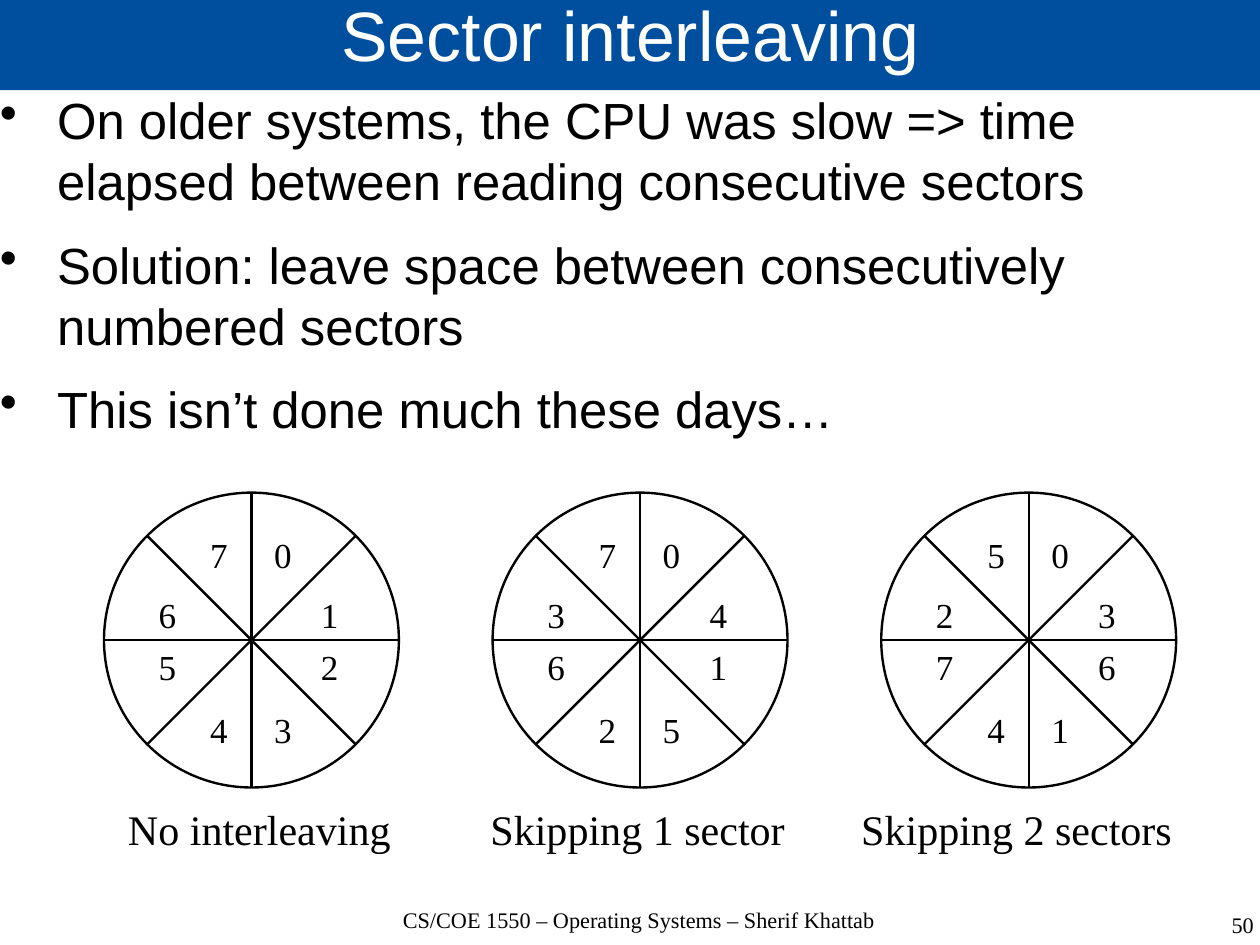
import math
import pptx
import pptx.dml.color
import pptx.enum.shapes
import pptx.enum.text
import pptx.oxml
import pptx.oxml.ns
import pptx.util

Inches, Pt = pptx.util.Inches, pptx.util.Pt
Align = pptx.enum.text.PP_ALIGN
Anchor = pptx.enum.text.MSO_ANCHOR
Fit = pptx.enum.text.MSO_AUTO_SIZE

# Content
TITLE = "Sector interleaving"
POINTS = [
    "On older systems, the CPU was slow => time elapsed between reading consecutive sectors",
    "Solution: leave space between consecutively numbered sectors",
    "This isn’t done much these days…",
]
FOOTER = "CS/COE 1550 – Operating Systems – Sherif Khattab"
NUMBER = "50"
# Caption, its left and width, sector numbers clockwise from the top
DISKS = [
    ("No interleaving", 1.01, 2.52, "01234567"),
    ("Skipping 1 sector", 4.18, 2.8, "04152637"),
    ("Skipping 2 sectors", 7.42, 2.95, "03614725"),
]

# Layout
BLACK, WHITE, BLUE = "000000", "FFFFFF", "004F9E"
SERIF = "Times New Roman"
LEFT, MID, PITCH = 2.2, 5.6, 3.4
RADIUS = 1.29
# Number boxes, clockwise, relative to the disk centre
SPOTS = [(0.1, -0.98), (0.51, -0.46), (0.51, 0), (0.1, 0.55),
         (-0.46, 0.55), (-0.91, 0), (-0.91, -0.46), (-0.46, -0.98)]


def color(code):
    return pptx.dml.color.RGBColor.from_string(code)


def bullet(para):
    props = para._p.get_or_add_pPr()
    props.set("marL", str(Inches(0.5)))
    props.set("indent", str(-Inches(0.5)))
    mark = pptx.oxml.parse_xml(
        f'<a:buChar {pptx.oxml.ns.nsdecls("a")} char="•"/>')
    props.append(mark)


def write(text, at, shape=None, size=14, font=SERIF, ink=BLACK, align=Align.LEFT,
          anchor=Anchor.TOP, pad=(0, 0), wrap=True, line=None, after=0, dots=False):
    """Put one paragraph per line of text in a box."""
    left, top, width, height = (Inches(v) for v in at)
    if shape is None:
        shape = slide.shapes.add_textbox(left, top, width, height)
    else:
        shape.left, shape.top, shape.width, shape.height = left, top, width, height
    frame = shape.text_frame
    frame.text = text
    frame.auto_size = Fit.NONE if wrap else Fit.SHAPE_TO_FIT_TEXT
    frame.word_wrap = wrap
    frame.vertical_anchor = anchor
    frame.margin_left = frame.margin_right = Inches(pad[0])
    frame.margin_top = frame.margin_bottom = Inches(pad[1])
    for para in frame.paragraphs:
        if dots:
            bullet(para)
        para.alignment = align
        para.space_before, para.space_after = Pt(0), Pt(after)
        if line:
            para.line_spacing = line
        para.font.size, para.font.name = Pt(size), font
        para.font.color.rgb = color(ink)
    return shape


def spoke(x, y, angle):
    """Draw a diameter of the disk at the given angle."""
    dx, dy = RADIUS * math.cos(angle), RADIUS * math.sin(angle)
    link = slide.shapes.add_connector(
        pptx.enum.shapes.MSO_CONNECTOR.STRAIGHT,
        Inches(x - dx), Inches(y - dy), Inches(x + dx), Inches(y + dy))
    link.line.color.rgb, link.line.width = color(BLACK), Pt(1.5)
    props = link._element.spPr
    props.append(pptx.oxml.parse_xml(
        f'<a:effectLst {pptx.oxml.ns.nsdecls("a")}/>'))


def disk(x, y, digits):
    ring = slide.shapes.add_shape(
        pptx.enum.shapes.MSO_SHAPE.OVAL, Inches(x - RADIUS), Inches(y - RADIUS),
        Inches(2 * RADIUS), Inches(2 * RADIUS))
    ring.shadow.inherit = False
    ring.fill.background()
    ring.line.color.rgb, ring.line.width = color(BLACK), Pt(1.5)
    for step in range(4):
        spoke(x, y, step * math.pi / 4)
    for digit, (dx, dy) in zip(digits, SPOTS):
        write(digit, (x + dx, y + dy, 0.36, 0.47), size=22.1,
              pad=(0.1, 0.05), wrap=False)


deck = pptx.Presentation()
deck.slide_width, deck.slide_height = pptx.util.Cm(28), pptx.util.Cm(21)
slide = deck.slides.add_slide(deck.slide_layouts[5])

# Title bar and points
bar = write(TITLE, (0, -0.02, 11.04, 0.81), shape=slide.shapes.title, size=44,
            font="Arial", ink=WHITE, align=Align.CENTER, anchor=Anchor.MIDDLE,
            line=0.69)
bar.fill.solid()
bar.fill.fore_color.rgb = color(BLUE)
write("\n".join(POINTS), (0, 0.78, 11.04, 7.18), size=32, font="Arial",
      after=14.2, dots=True)

# Footer
write(FOOTER, (3.07, 7.94, 5.04, 0.55), align=Align.CENTER, line=0.96)
write(NUMBER, (8.44, 7.99, 2.53, 0.55), align=Align.RIGHT, line=0.96)

# Disks and captions
for col, (label, left, width, digits) in enumerate(DISKS):
    disk(LEFT + col * PITCH, MID, digits)
    write(label, (left, 6.98, width, 0.55), size=26.5, align=Align.CENTER,
          pad=(0.1, 0.05), wrap=False)

deck.save("out.pptx")
